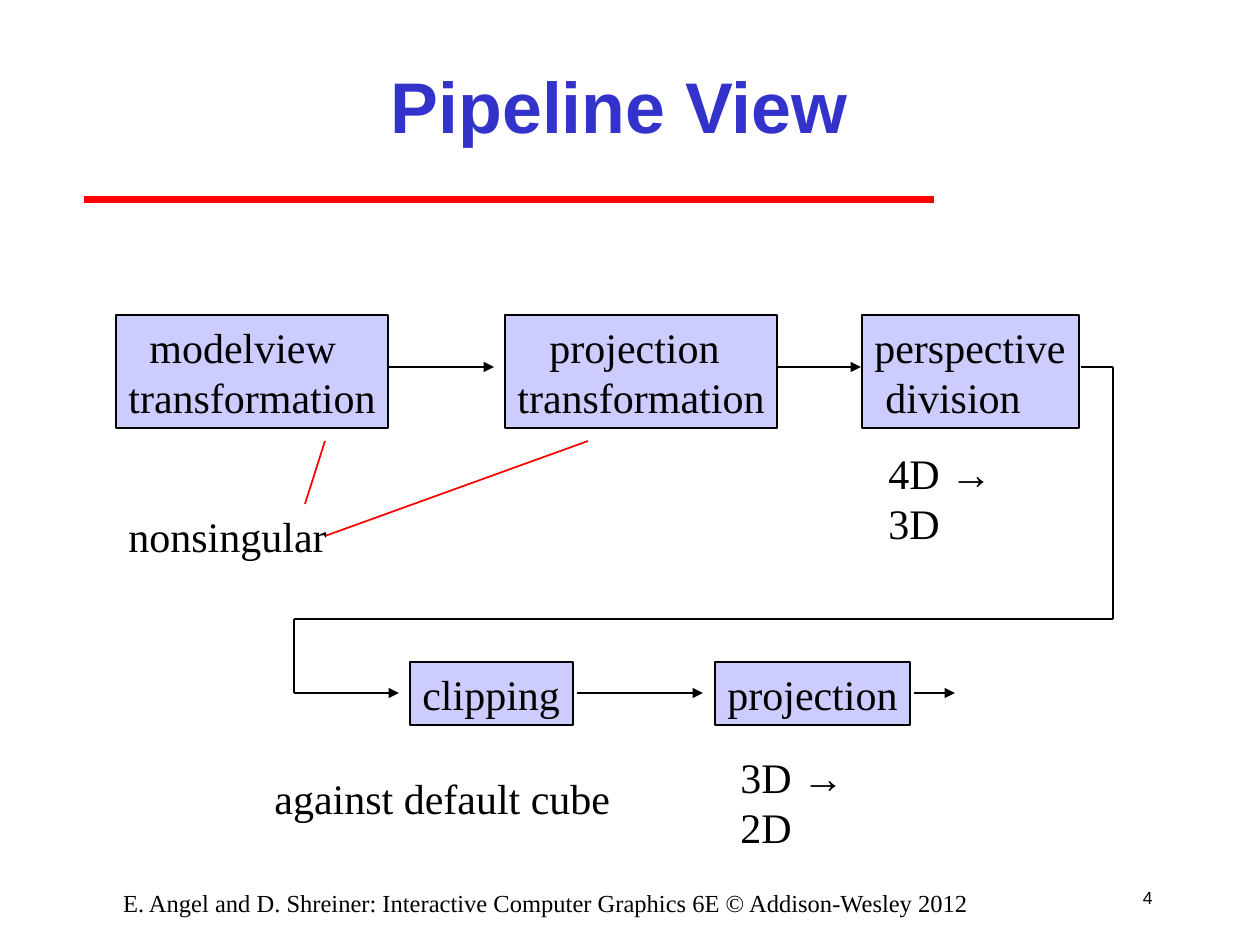
from lxml.etree import SubElement
from pptx import Presentation
from pptx.dml.color import RGBColor
from pptx.enum.shapes import MSO_CONNECTOR, MSO_SHAPE
from pptx.enum.text import MSO_ANCHOR, MSO_AUTO_SIZE, PP_ALIGN
from pptx.oxml.ns import qn
from pptx.util import Emu, Pt

SERIF, SANS = "Times New Roman", "Arial"
BLACK, RED, BLUE, LILAC = "000000", "FF0000", "3333CC", "CCCCFF"
ROW_1, ROW_2 = 367, 693


def px(length):
    return Emu(round(length * 914400 / 126))


def colour(value):
    return RGBColor.from_string(value)


def add_span(para, text, size=24, font=SERIF, fill=BLACK, bold=False):
    span = para.add_run()
    span.text = text
    span.font.size = Pt(size)
    span.font.name = font
    span.font.bold = bold
    span.font.color.rgb = colour(fill)


def keep_on_one_line(frame):
    """Turn wrapping off and free the right margin for tightly fitting text."""
    frame.word_wrap = False
    frame.margin_right = 0


def add_label(page, left, top, width, height, spans, align=PP_ALIGN.LEFT,
              anchor=MSO_ANCHOR.TOP, wrap=True):
    """Add one paragraph of (text, style) spans in a text box."""
    box = page.shapes.add_textbox(px(left), px(top), px(width), px(height))
    frame = box.text_frame
    frame.word_wrap = True
    if not wrap:
        keep_on_one_line(frame)
    frame.vertical_anchor = anchor
    para = frame.paragraphs[0]
    para.alignment = align
    for text, style in spans:
        add_span(para, text, **style)


def add_dimension_change(page, left, top, before, after):
    spans = [(before + " ", {}), ("→", {"font": SANS}), (" " + after, {})]
    add_label(page, left, top, 183, 63, spans)


def add_stage(page, left, top, width, height, lines):
    """Add a pipeline box; each line is (text, indent)."""
    box = page.shapes.add_shape(MSO_SHAPE.RECTANGLE, px(left), px(top),
                                px(width), px(height))
    box.shadow.inherit = False
    box.fill.solid()
    box.fill.fore_color.rgb = colour(LILAC)
    box.line.color.rgb = colour(BLACK)
    box.line.width = Pt(1)
    frame = box.text_frame
    keep_on_one_line(frame)
    frame.auto_size = MSO_AUTO_SIZE.NONE
    frame.vertical_anchor = MSO_ANCHOR.TOP
    for index, (text, indent) in enumerate(lines):
        para = frame.add_paragraph() if index else frame.paragraphs[0]
        para.alignment = PP_ALIGN.LEFT
        if indent:
            para._p.get_or_add_pPr().set("marL", str(px(indent)))
        add_span(para, text)


def add_line(page, start, end, fill=BLACK, width=1, arrow=False):
    line = page.shapes.add_connector(MSO_CONNECTOR.STRAIGHT,
                                     *map(px, start + end))
    line.line.color.rgb = colour(fill)
    line.line.width = Pt(width)
    if arrow:
        SubElement(line.line._get_or_add_ln(), qn("a:tailEnd"), type="triangle")
    SubElement(line._element.spPr, qn("a:effectLst"))


def main():
    deck = Presentation()
    deck.slide_width, deck.slide_height = px(1260), px(945)
    page = deck.slides.add_slide(deck.slide_layouts[6])

    add_line(page, (84, 200), (934, 200), RED, 4)
    add_label(page, 1112, 871, 53, 53, [("4", {"size": 10, "font": SANS})],
              PP_ALIGN.RIGHT, MSO_ANCHOR.MIDDLE)
    footer = ("E. Angel and D. Shreiner: Interactive Computer Graphics 6E "
              "© Addison-Wesley 2012")
    add_label(page, 63, 882, 966, 32, [(footer, {"size": 14})],
              PP_ALIGN.CENTER)
    title_style = {"size": 41, "font": SANS, "fill": BLUE, "bold": True}
    add_label(page, 189, 31, 861, 147, [("Pipeline View", title_style)],
              PP_ALIGN.CENTER, MSO_ANCHOR.MIDDLE)

    for left, width, lines in [
        (116, 272, [("modelview", 21), ("transformation", 0)]),
        (505, 272, [("projection", 32), ("transformation", 0)]),
        (862, 217, [("perspective", 0), ("division", 11)]),
    ]:
        add_stage(page, left, 315, width, 113, lines)
    for left, width, text in [(410, 163, "clipping"), (715, 195, "projection")]:
        add_stage(page, left, 662, width, 63, [(text, 0)])

    for left, right, row in [(388, 494, ROW_1), (777, 861, ROW_1),
                             (577, 703, ROW_2), (914, 955, ROW_2)]:
        add_line(page, (left, row), (right, row), arrow=True)

    route = [(1081, ROW_1), (1113, ROW_1), (1113, 619), (294, 619),
             (294, ROW_2), (399, ROW_2)]
    for start, end in zip(route, route[1:]):
        add_line(page, start, end, arrow=end == route[-1])

    add_line(page, (588, 441), (325, 536), RED)
    add_line(page, (325, 441), (305, 504), RED)

    add_label(page, 116, 504, 223, 63, [("nonsingular", {})], wrap=False)
    add_dimension_change(page, 876, 441, "4D", "3D")
    add_label(page, 262, 766, 360, 63, [("against default cube", {})],
              wrap=False)
    add_dimension_change(page, 728, 745, "3D", "2D")

    deck.save("out.pptx")


if __name__ == "__main__":
    main()
